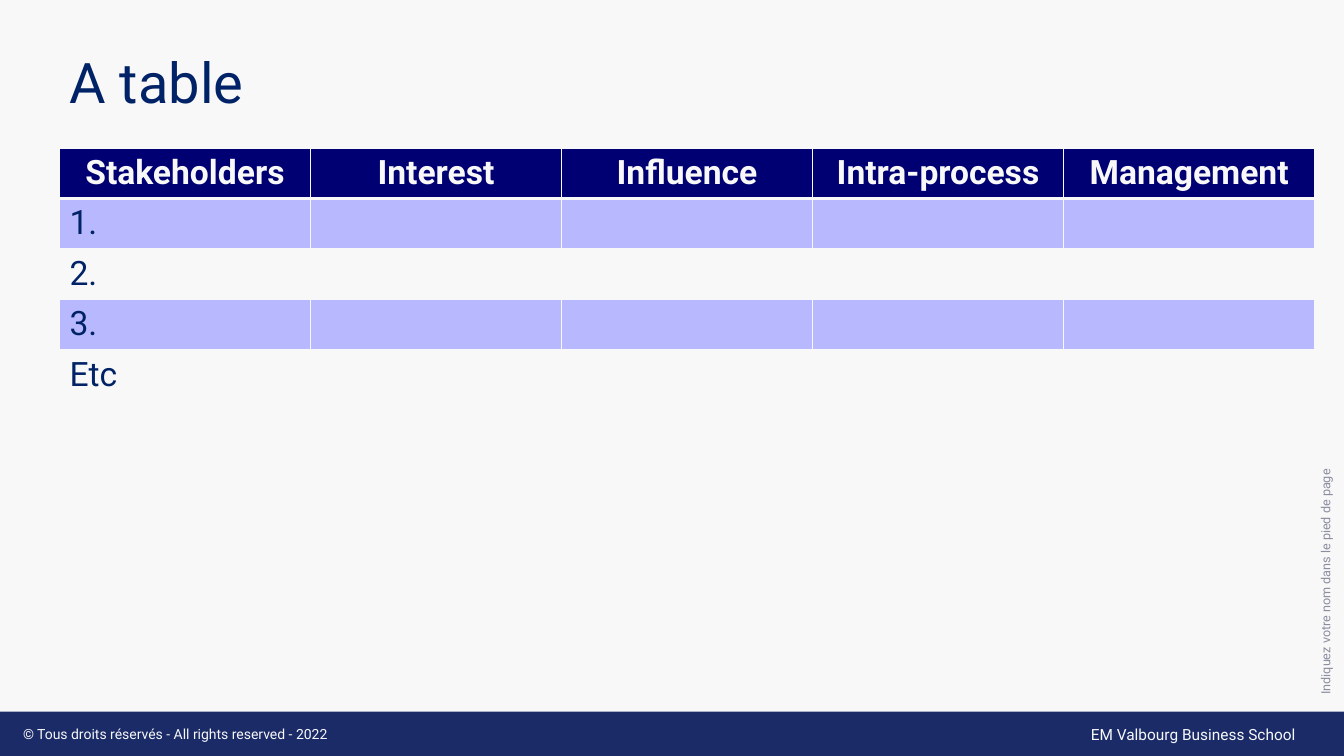
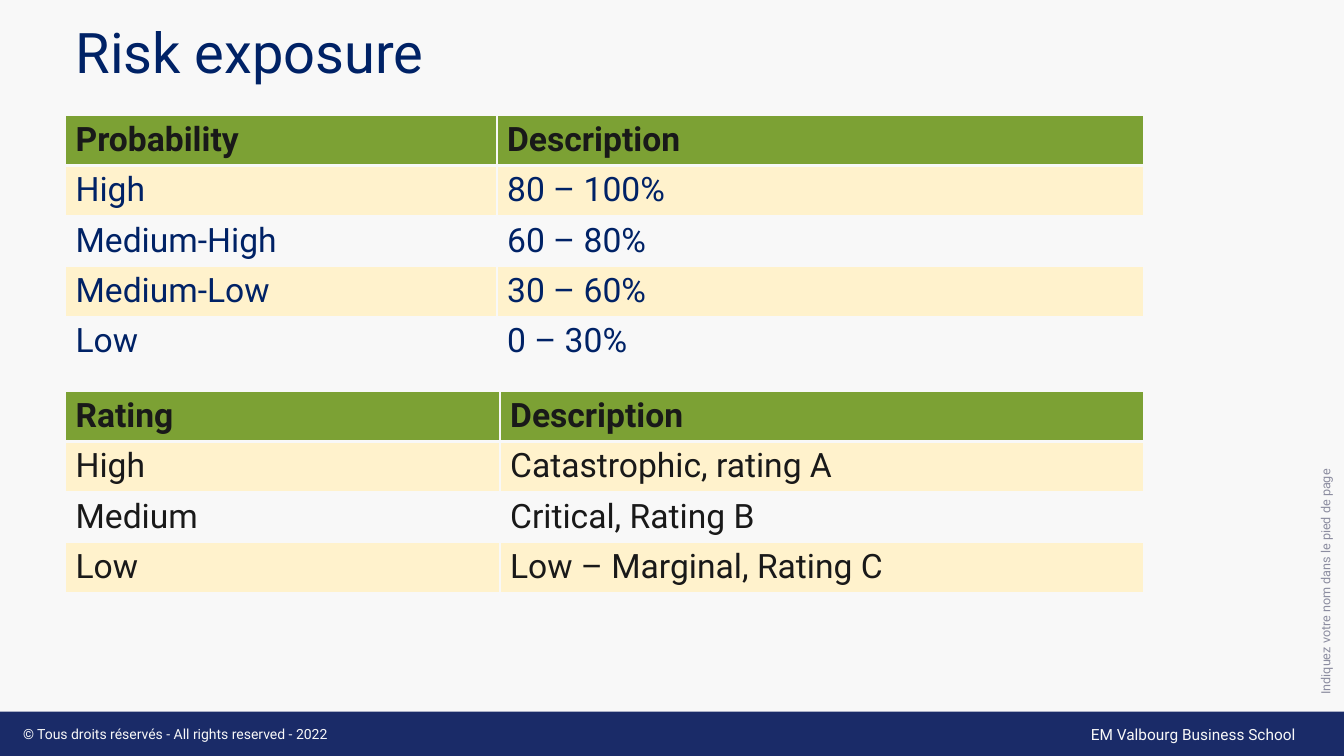
"""Build two slides with stakeholder and risk tables."""
import pptx
import pptx.dml.color
import pptx.enum.shapes
import pptx.enum.text
import pptx.oxml
import pptx.util
from pptx.oxml.ns import nsdecls

Inches = pptx.util.Inches
Pt = pptx.util.Pt
RGBColor = pptx.dml.color.RGBColor
LEFT = pptx.enum.text.PP_ALIGN.LEFT
CENTER = pptx.enum.text.PP_ALIGN.CENTER
MIDDLE = pptx.enum.text.MSO_ANCHOR.MIDDLE

FONT = "Roboto"
PAPER = RGBColor(0xF8, 0xF8, 0xF8)
NAVY = RGBColor(0x00, 0x22, 0x66)
BAND = RGBColor(0x1A, 0x2B, 0x68)
GREY = RGBColor(0x8C, 0x8D, 0xA0)
DARK_BLUE = RGBColor(0x00, 0x00, 0x73)
LILAC = RGBColor(0xB8, 0xB8, 0xFF)
GREEN = RGBColor(0x7C, 0xA1, 0x34)
CREAM = RGBColor(0xFF, 0xF2, 0xCC)
INK = RGBColor(0x19, 0x19, 0x19)
ROW_HEIGHT = 0.49

STAKEHOLDERS = {
    "left": 0.59, "top": 1.47, "widths": [2.49] * 5,
    "header_fill": DARK_BLUE, "header_color": PAPER, "header_align": CENTER,
    "stripe": LILAC, "body_color": NAVY,
    "rows": [
        ["Stakeholders", "Interest", "Influence", "Intra-process", "Management"],
        ["1.", "", "", "", ""],
        ["2.", "", "", "", ""],
        ["3.", "", "", "", ""],
        ["Etc", "", "", "", ""],
    ],
}
RISK_STYLE = {
    "left": 0.65, "header_fill": GREEN, "header_color": INK,
    "header_align": LEFT, "stripe": CREAM,
}
PROBABILITY = {
    **RISK_STYLE, "top": 1.14, "widths": [4.28, 6.41], "body_color": NAVY,
    "rows": [
        ["Probability", "Description"],
        ["High", "80 – 100%"],
        ["Medium-High", "60 – 80%"],
        ["Medium-Low", "30 – 60%"],
        ["Low", "0 – 30%"],
    ],
}
RATING = {
    **RISK_STYLE, "top": 3.88, "widths": [4.31, 6.38], "body_color": INK,
    "rows": [
        ["Rating", "Description"],
        ["High", "Catastrophic, rating A"],
        ["Medium", "Critical, Rating B"],
        ["Low", "Low – Marginal, Rating C"],
    ],
}
SLIDES = [
    ("A table", 0.59, 0.49, [STAKEHOLDERS]),
    ("Risk exposure", 0.65, 0.19, [PROBABILITY, RATING]),
]
FOOTERS = [
    ("EM Valbourg Business School", 10.72, 7.14, 2.45, 0.29, 11, PAPER),
    ("© Tous droits réservés - All rights reserved - 2022",
     0.13, 7.15, 4.45, 0.27, 10, PAPER),
    ("Indiquez votre nom dans le pied de page",
     13.03, 0.49, 0.23, 6.5, 9, GREY),
]


def write(frame, text, size, color, bold=False, align=LEFT):
    frame.text = text
    paragraph = frame.paragraphs[0]
    paragraph.alignment = align
    paragraph.font.name = FONT
    paragraph.font.size = Pt(size)
    paragraph.font.color.rgb = color
    paragraph.font.bold = bold


def add_striped_table(slide, data):
    rows, widths = data["rows"], data["widths"]
    table = slide.shapes.add_table(
        len(rows), len(widths), Inches(data["left"]), Inches(data["top"]),
        Inches(sum(widths)), Inches(ROW_HEIGHT * len(rows))).table
    table.horz_banding = False
    for column, width in zip(table.columns, widths):
        column.width = Inches(width)
    for r, texts in enumerate(rows):
        table.rows[r].height = Inches(ROW_HEIGHT)
        header = r == 0
        if header:
            fill, color, align = (
                data["header_fill"], data["header_color"], data["header_align"])
        else:
            fill = data["stripe"] if r % 2 else PAPER
            color, align = data["body_color"], LEFT
        edges = {"L": 1, "R": 1, "T": 3 if r == 1 else 1, "B": 3 if header else 1}
        for c, text in enumerate(texts):
            cell = table.cell(r, c)
            properties = cell._tc.get_or_add_tcPr()
            for side, points in edges.items():
                properties.append(pptx.oxml.parse_xml(
                    f'<a:ln{side} {nsdecls("a")} w="{Pt(points)}"><a:solidFill>'
                    f'<a:srgbClr val="{PAPER}"/></a:solidFill></a:ln{side}>'))
            cell.fill.solid()
            cell.fill.fore_color.rgb = fill
            write(cell.text_frame, text, 24, color, header, align)


deck = pptx.Presentation()
deck.slide_width = Inches(13.33)
deck.slide_height = Inches(7.5)
deck.slide_master.background.fill.solid()
deck.slide_master.background.fill.fore_color.rgb = PAPER

for heading, title_left, title_top, tables in SLIDES:
    slide = deck.slides.add_slide(deck.slide_layouts[5])

    band = slide.shapes.add_shape(
        pptx.enum.shapes.MSO_SHAPE.RECTANGLE,
        0, Inches(7.06), Inches(13.33), Inches(0.44))
    band.shadow.inherit = False
    band.fill.solid()
    band.fill.fore_color.rgb = BAND
    band.line.fill.background()

    for text, left, top, width, height, size, color in FOOTERS:
        footer = slide.shapes.add_textbox(
            Inches(left), Inches(top), Inches(width), Inches(height)).text_frame
        footer.word_wrap = True
        write(footer, text, size, color)
        if height > width:
            footer.vertical_anchor = MIDDLE
            footer._txBody.bodyPr.set("vert", "vert270")

    title = slide.shapes.title
    title.left, title.top = Inches(title_left), Inches(title_top)
    title.width, title.height = Inches(11.5), Inches(0.71)
    title.text_frame.vertical_anchor = MIDDLE
    title.text_frame.auto_size = pptx.enum.text.MSO_AUTO_SIZE.NONE
    write(title.text_frame, heading, 40, NAVY)
    title.text_frame.paragraphs[0].line_spacing = 0.9

    for data in tables:
        add_striped_table(slide, data)

deck.save("out.pptx")
